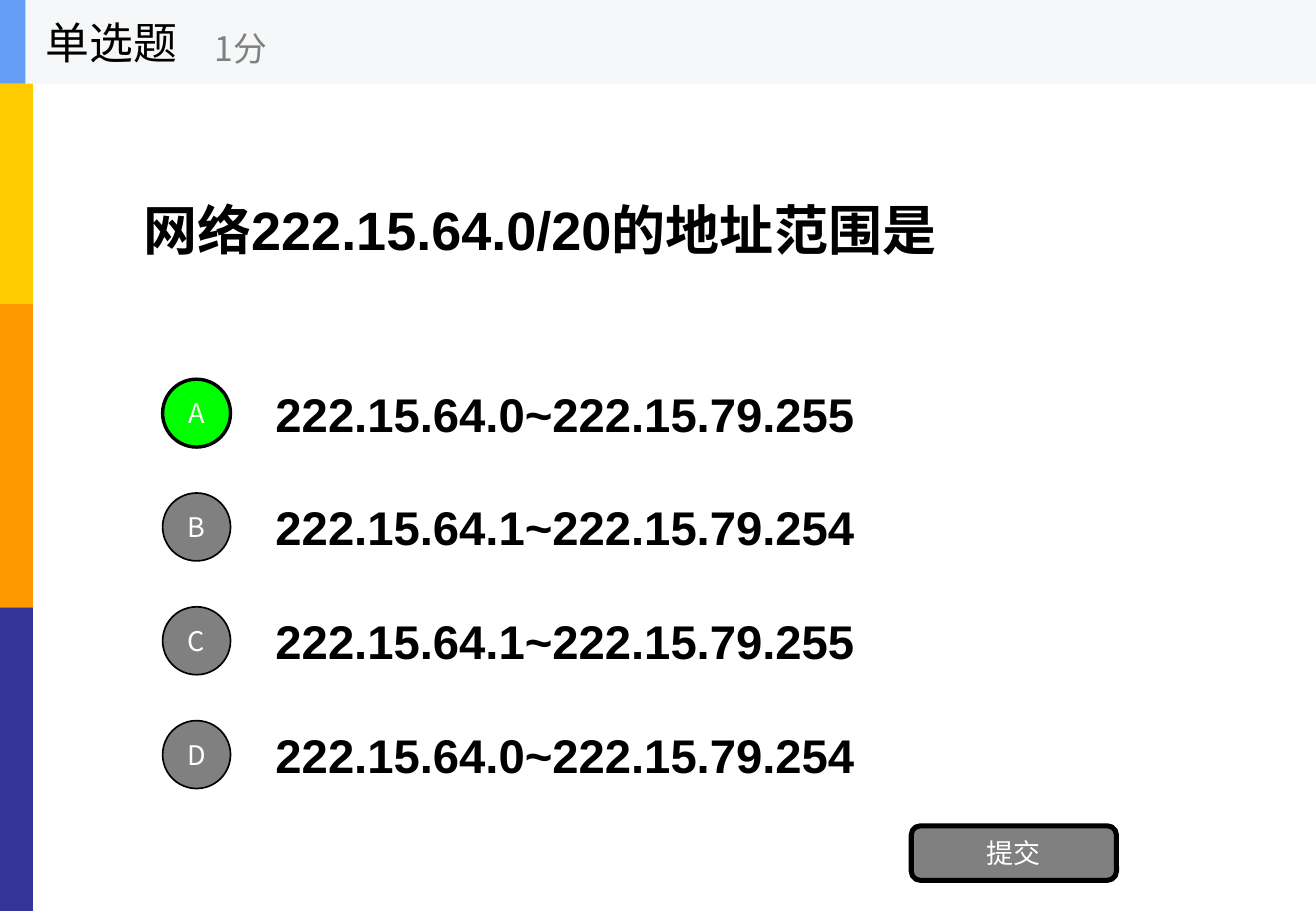
"""Build a single-choice quiz slide about an IP address range."""
from dataclasses import dataclass

from lxml.etree import SubElement
from pptx import Presentation
from pptx.dml.color import RGBColor
from pptx.enum.shapes import MSO_SHAPE
from pptx.enum.text import MSO_ANCHOR, MSO_AUTO_SIZE, PP_ALIGN
from pptx.oxml.ns import qn
from pptx.util import Cm, Pt

KIND, SCORE, SUBMIT = "单选题", "1分", "提交"
QUESTION = "网络222.15.64.0/20的地址范围是"
CHOICES = [
    ("A", "222.15.64.0~222.15.79.255"),
    ("B", "222.15.64.1~222.15.79.254"),
    ("C", "222.15.64.1~222.15.79.255"),
    ("D", "222.15.64.0~222.15.79.254"),
]
RIGHT = "A"


@dataclass(frozen=True)
class Theme:
    """Colours, fonts and type sizes."""
    bars: tuple = ("FFCC00", "FF9900", "333399")
    band: str = "F6F7F8"
    accent: str = "639EF4"
    right: str = "00FF00"
    gray: str = "808080"
    black: str = "000000"
    white: str = "FFFFFF"
    latin: str = "Arial"
    cjk: str = "Noto Sans CJK SC"
    question: int = 32
    choice: int = 28
    kind: int = 26
    score: int = 20
    label: int = 16


THEME = Theme()
WIDTH, HEIGHT = 27.51, 19.05
BAR, BAND = 0.69, 1.75
TOP, STEP, ROW = 7.75, 2.38, 1.78
DOT = 1.42


def write(shape, text, size, color=THEME.black, font=THEME.cjk, bold=False,
          align=PP_ALIGN.LEFT, side=0.25, hang=0, lines=1.0):
    """Put one formatted paragraph into a shape."""
    frame = shape.text_frame
    frame.word_wrap = True
    frame.auto_size = MSO_AUTO_SIZE.NONE
    frame.vertical_anchor = MSO_ANCHOR.MIDDLE
    frame.margin_left = frame.margin_right = Cm(side)
    frame.margin_top = frame.margin_bottom = Cm(0)
    para = frame.paragraphs[0]
    para.alignment = align
    para.line_spacing = lines
    if hang:
        props = para._p.get_or_add_pPr()
        props.set("marL", str(Cm(hang)))
        props.set("indent", str(-Cm(hang)))
    run = para.add_run()
    run.text = text
    run.font.size = Pt(size)
    run.font.bold = bold
    run.font.color.rgb = RGBColor.from_string(color)
    run.font.name = font
    SubElement(run._r.get_or_add_rPr(), qn("a:ea"), typeface=THEME.cjk)


def draw(slide, form, box, fill, line=0):
    """Add a filled shape, outlined when a line width is given."""
    shape = slide.shapes.add_shape(form, *map(Cm, box))
    shape.shadow.inherit = False
    shape.fill.solid()
    shape.fill.fore_color.rgb = RGBColor.from_string(fill)
    if line:
        shape.line.color.rgb = RGBColor.from_string(THEME.black)
        shape.line.width = Pt(line)
    else:
        shape.line.fill.background()
    return shape


def label(slide, box, text, size, **style):
    """Add a text box."""
    write(slide.shapes.add_textbox(*map(Cm, box)), text, size, **style)


def button(slide, form, box, text, fill, line):
    """Add an outlined shape with a centred white caption."""
    shape = draw(slide, form, box, fill, line)
    write(shape, text, THEME.label, color=THEME.white,
          align=PP_ALIGN.CENTER, side=0)


def main():
    """Compose and save the slide."""
    deck = Presentation()
    deck.slide_width, deck.slide_height = Cm(WIDTH), Cm(HEIGHT)
    slide = deck.slides.add_slide(deck.slide_layouts[5])

    tall = HEIGHT / len(THEME.bars)
    for i, color in enumerate(THEME.bars):
        draw(slide, MSO_SHAPE.RECTANGLE, (0, i * tall, BAR, tall), color)

    title = slide.shapes.title
    title.left, title.top, title.width, title.height = map(
        Cm, (2.74, BAND, 22.02, 5.94))
    write(title, QUESTION, THEME.question, font=THEME.latin, bold=True,
          hang=0.97, lines=1.1)

    for i, (key, text) in enumerate(CHOICES):
        top = TOP + i * STEP
        label(slide, (5.51, top, 19.25, ROW), text, THEME.choice,
              font=THEME.latin, bold=True)
        fill, line = (THEME.right, 2) if key == RIGHT else (THEME.gray, 1)
        button(slide, MSO_SHAPE.OVAL,
               (3.4, top + (ROW - DOT) / 2, DOT, DOT), key, fill, line)

    button(slide, MSO_SHAPE.ROUNDED_RECTANGLE, (19.05, 17.27, 4.29, 1.14),
           SUBMIT, THEME.gray, 3)

    draw(slide, MSO_SHAPE.RECTANGLE, (0, 0, WIDTH, BAND), THEME.band)
    draw(slide, MSO_SHAPE.RECTANGLE, (0, 0, 0.53, BAND), THEME.accent)
    label(slide, (0.71, 0, 5.28, BAND), KIND, THEME.kind)
    label(slide, (4.24, 0.3, 6.35, 1.42), SCORE, THEME.score,
          color=THEME.gray)
    deck.save("out.pptx")


if __name__ == "__main__":
    main()
